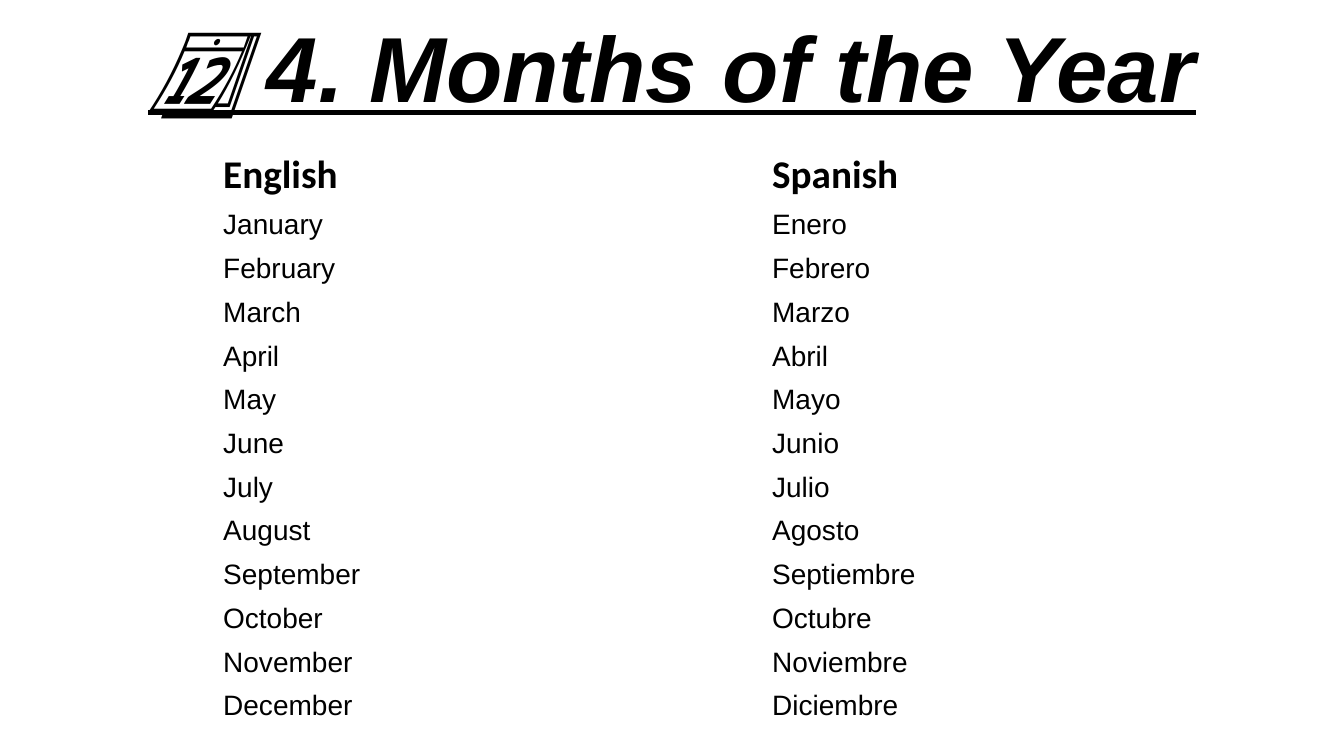
from pptx import Presentation
from pptx.dml.color import RGBColor
from pptx.enum import text
from pptx.util import Cm, Pt

BLACK = RGBColor(0x00, 0x00, 0x00)
MONTHS = [
    ("January", "Enero"),
    ("February", "Febrero"),
    ("March", "Marzo"),
    ("April", "Abril"),
    ("May", "Mayo"),
    ("June", "Junio"),
    ("July", "Julio"),
    ("August", "Agosto"),
    ("September", "Septiembre"),
    ("October", "Octubre"),
    ("November", "Noviembre"),
    ("December", "Diciembre"),
]


class VocabularySlide:
    body_font = "Arial"
    header_font = "Calibri"
    title_size, header_size, body_size = 66, 28, 20

    def __init__(self, deck):
        self.slide = deck.slides.add_slide(deck.slide_layouts[6])

    def style(self, para, name, size, bold=False):
        font = para.font
        font.name, font.size, font.bold = name, Pt(size), bold
        font.color.rgb = BLACK

    def title(self, words, left, top, width, height):
        box = self.slide.shapes.add_textbox(left, top, width, height)
        frame = box.text_frame
        frame.word_wrap = True
        frame.vertical_anchor = text.MSO_ANCHOR.MIDDLE
        para = frame.paragraphs[0]
        para.text = words
        para.alignment = text.PP_ALIGN.CENTER
        para.line_spacing = 0.9
        self.style(para, self.body_font, self.title_size, bold=True)
        para.font.italic = para.font.underline = True

    def word_table(self, header, pairs, left, top, width, header_height, row_height):
        """Add a plain table with a bold header row and one row per word pair."""
        rows = [header, *pairs]
        height = header_height + row_height * len(pairs)
        table = self.slide.shapes.add_table(
            len(rows), len(header), left, top, width, height).table
        table.first_row = table.horz_banding = False
        for r, words in enumerate(rows):
            is_header = r == 0
            table.rows[r].height = header_height if is_header else row_height
            for c, word in enumerate(words):
                cell = table.cell(r, c)
                cell.text = word
                cell.fill.background()
                cell.vertical_anchor = text.MSO_ANCHOR.MIDDLE
                self.style(
                    cell.text_frame.paragraphs[0],
                    self.header_font if is_header else self.body_font,
                    self.header_size if is_header else self.body_size,
                    bold=is_header)


def main():
    deck = Presentation()
    deck.slide_width, deck.slide_height = Cm(33.87), Cm(19.05)
    page = VocabularySlide(deck)
    page.title("📆 4. Months of the Year", Cm(2.33), Cm(0), Cm(29.21), Cm(3.68))
    page.word_table(("English", "Spanish"), MONTHS, Cm(5.37), Cm(3.68), Cm(27.67),
                    header_height=Cm(0.69), row_height=Cm(1.05))
    deck.save("out.pptx")


if __name__ == "__main__":
    main()
